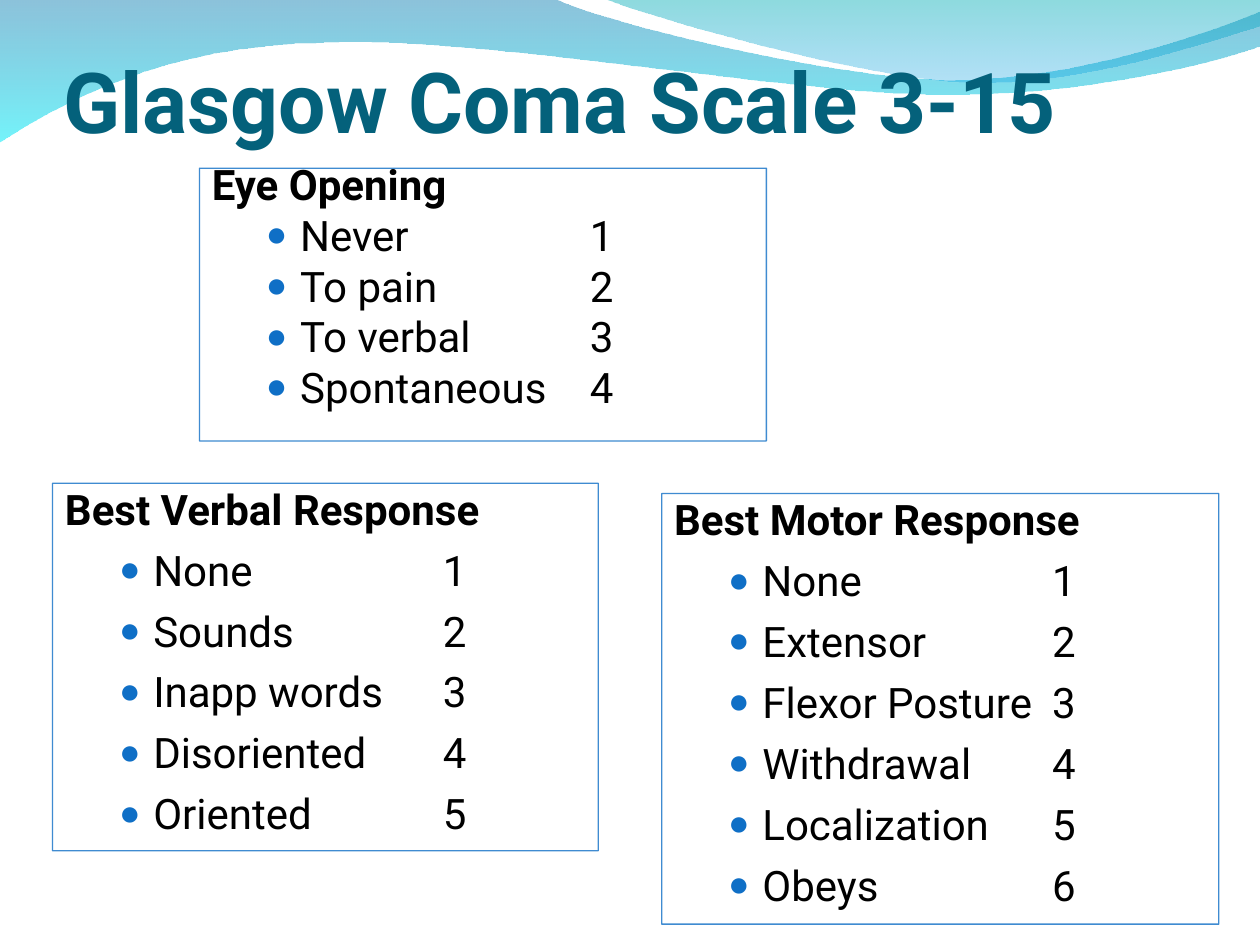
"""Builds the Glasgow Coma Scale slide with its three scored response lists."""
from lxml.etree import SubElement
from pptx import Presentation
from pptx.dml.color import RGBColor
from pptx.enum.text import MSO_ANCHOR, MSO_AUTO_SIZE, PP_ALIGN
from pptx.oxml.ns import qn
from pptx.util import Cm, Pt

UPPER_WAVE = [
    (0, -0.03), (11.18, -0.03),
    (12.09, 0.43, 16.87, 1.6, 19.25, 1.6),
    (21.67, 1.6, 24.33, 0.66, 25.4, 0.23),
    (25.43, 0.91),
    (24.97, 1.12, 22.1, 1.93, 18.95, 1.9),
    (15.8, 1.9, 9.7, 0.71, 6.53, 0.86),
    (3.28, 0.89, 1.17, 2.11, -0.03, 2.87),
]
RIGHT_WAVE = [
    (12.17, -0.03),
    (12.93, 0.28, 17.32, 1.57, 19.53, 1.65),
    (21.74, 1.75, 24.41, 0.81, 25.4, 0.53),
    (25.4, 0),
]
EYE = ["Never", "To pain", "To verbal", "Spontaneous"]
MOTOR = ["None", "Extensor", "Flexor Posture", "Withdrawal", "Localization", "Obeys"]
VERBAL = ["None", "Sounds", "Inapp words", "Disoriented", "Oriented"]


def color(value):
    return RGBColor.from_string(value)


class ScaleSlide:
    """Holds the style and the current slide."""
    font = "Roboto"
    title_color = "04617B"
    text_color = "000000"
    accent = "0F6FC6"

    def __init__(self, deck):
        self.slide = deck.slides.add_slide(deck.slide_layouts[4])

    def set_opacity(self, shape, percents):
        for tint, percent in zip(shape.element.spPr.iter(qn("a:srgbClr")), percents):
            SubElement(tint, qn("a:alpha"), val=str(percent * 1000))

    def outline(self, segments):
        points = [(Cm(segment[i]), Cm(segment[i + 1]))
                  for segment in segments for i in range(0, len(segment), 2)]
        builder = self.slide.shapes.build_freeform(*points[0])
        builder.add_line_segments(points[1:], close=True)
        return builder.convert_to_shape()

    def bend(self, shape, segments):
        lines = iter(list(shape.element.spPr.iter(qn("a:lnTo"))))
        for segment in segments[1:]:
            line = next(lines)
            if len(segment) == 6:
                line.tag = qn("a:cubicBezTo")
                for extra in (next(lines), next(lines)):
                    line.append(extra[0])
                    extra.getparent().remove(extra)

    def wave(self, depth, segments, tints, opacities):
        wave = self.outline(segments)
        self.bend(wave, segments)
        wave.shadow.inherit = False
        wave.line.fill.background()
        wave.fill.gradient()
        wave.fill.gradient_angle = 270
        for stop, position, tint in zip(wave.fill.gradient_stops, (0, 1), tints):
            stop.position = position
            stop.color.rgb = color(tint)
        self.set_opacity(wave, opacities)
        self.slide.shapes.element.insert(2 + depth, wave.element)

    def place(self, holder, box, insets, anchor):
        holder.left, holder.top, holder.width, holder.height = map(Cm, box)
        frame = holder.text_frame
        frame.margin_left, frame.margin_top, frame.margin_right, frame.margin_bottom = map(Cm, insets)
        frame.vertical_anchor = anchor
        frame.auto_size = MSO_AUTO_SIZE.NONE
        frame.word_wrap = True
        return frame

    def set_font(self, paragraph, size, tint, bold):
        paragraph.alignment = PP_ALIGN.LEFT
        font = paragraph.font
        font.name, font.size, font.bold = self.font, Pt(size), bold
        font.color.rgb = color(tint)

    def title(self, text, box):
        frame = self.place(self.slide.shapes.title, box, (0, 0.13, 0, 2.09), MSO_ANCHOR.BOTTOM)
        frame.text = text
        self.set_font(frame.paragraphs[0], 48, self.title_color, True)

    def indent(self, paragraph, left, hanging):
        properties = paragraph._p.get_or_add_pPr()
        properties.set("marL", str(Cm(left)))
        properties.set("indent", str(-Cm(hanging)))
        return properties

    def bullet(self, properties):
        tint = SubElement(properties, qn("a:buClr"))
        SubElement(tint, qn("a:srgbClr"), val=self.accent)
        SubElement(properties, qn("a:buSzPct"), val="85000")
        SubElement(properties, qn("a:buFont"), typeface="Arial")
        SubElement(properties, qn("a:buChar"), char="●")
        stops = SubElement(properties, qn("a:tabLst"))
        SubElement(stops, qn("a:tab"), pos=str(Cm(7.62)), algn="l")

    def scored_list(self, index, heading, responses, box, spacing=1.0):
        holder = self.slide.placeholders[index]
        frame = self.place(holder, box, (0.25, 0, 0.25, 0.13), MSO_ANCHOR.TOP)
        holder.fill.background()
        holder.line.color.rgb = color(self.accent)
        holder.line.width = Pt(0.75)
        self.set_opacity(holder, [80])
        frame.text = heading
        for score, response in enumerate(responses, 1):
            entry = frame.add_paragraph()
            entry.text = f"{response}\t{score}"
            entry.level = 1
        for paragraph in frame.paragraphs:
            is_entry = paragraph.level == 1
            paragraph.line_spacing = spacing
            paragraph.space_before = Pt(6)
            if is_entry:
                self.bullet(self.indent(paragraph, 1.78, 0.69))
            else:
                SubElement(self.indent(paragraph, 0.76, 0.76), qn("a:buNone"))
            self.set_font(paragraph, 24, self.text_color, not is_entry)

    def remove_empty(self):
        for holder in list(self.slide.placeholders):
            if not holder.text_frame.text:
                holder.element.getparent().remove(holder.element)


def main():
    deck = Presentation()
    deck.slide_width, deck.slide_height = Cm(25.4), Cm(19.05)
    scale = ScaleSlide(deck)
    scale.wave(0, UPPER_WAVE, ("0079AF", "00EBF8"), (45, 55))
    scale.wave(1, RIGHT_WAVE, ("00ADB6", "009BE5"), (45, 30))
    scale.title("Glasgow Coma Scale 3-15", (1.27, 1.27, 22.86, 3.86))
    scale.scored_list(1, "Eye Opening", EYE, (4.02, 3.39, 11.43, 5.5), 0.8)
    scale.scored_list(2, "Best Motor Response", MOTOR, (13.34, 9.95, 11.23, 8.68))
    scale.scored_list(3, "Best Verbal Response", VERBAL, (1.06, 9.74, 11, 7.41))
    scale.remove_empty()
    deck.save("out.pptx")


if __name__ == "__main__":
    main()
